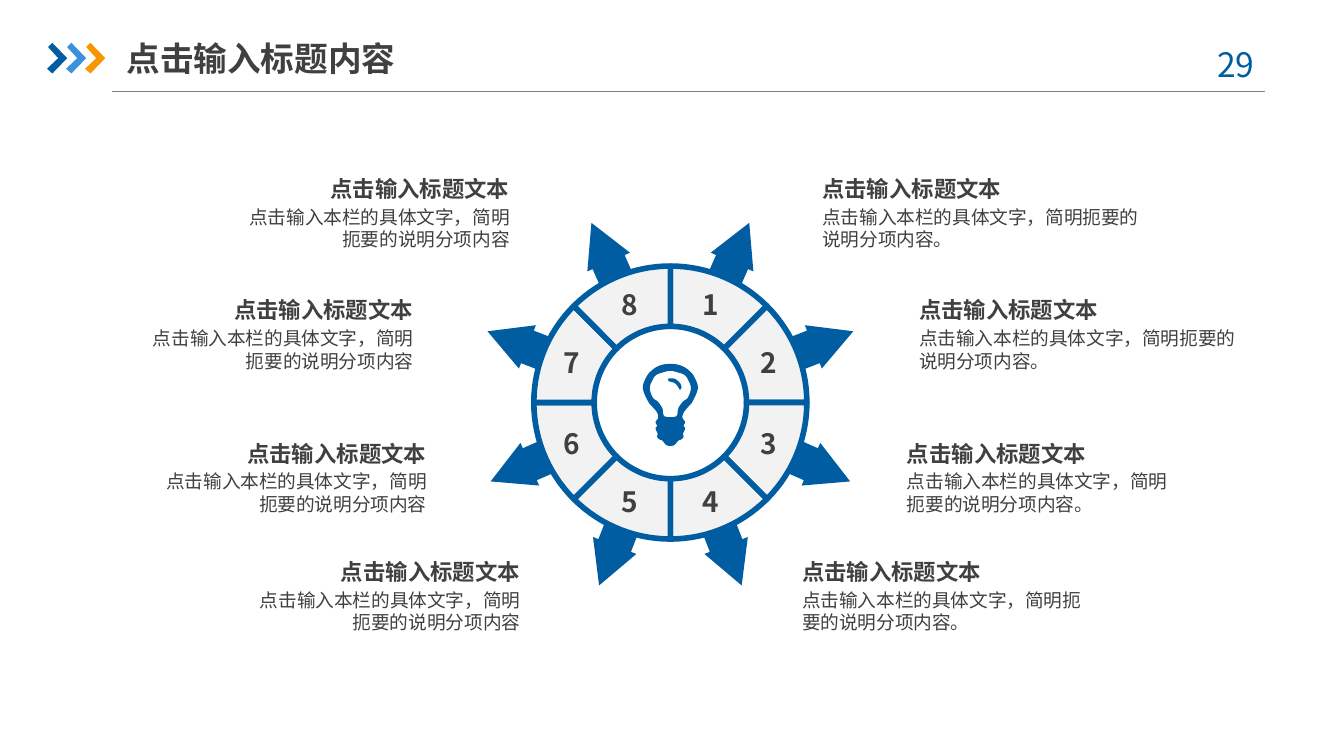
from math import cos, radians, sin

from lxml.etree import SubElement
from pptx import Presentation
from pptx.dml.color import RGBColor
from pptx.enum.shapes import MSO_CONNECTOR
from pptx.enum.text import MSO_ANCHOR, PP_ALIGN
from pptx.oxml.ns import qn
from pptx.util import Cm, Pt

FONT = "Noto Sans CJK SC"
BLUE, SKY, ORANGE = "005DA2", "3992DB", "F79600"
DARK, GRAY, PALE = "404040", "808080", "F2F2F2"
HUB_X, HUB_Y = 12.67, 7.61
INNER, OUTER = 1.44, 2.58
NUMBER_RADIUS = 2.01
HEADING = "点击输入标题文本"
DETAIL = "点击输入本栏的具体文字，简明扼要的说明分项内容"
CAPTION_ROWS = [
    (3.15, (15.29, 6.6), (4.39, 5.49)),
    (5.44, (17.12, 6.78), (2.57, 5.49)),
    (8.15, (16.89, 5.59), (2.82, 5.49)),
    (10.39, (14.91, 6.05), (4.47, 5.61)),
]
CHEVRON = [(0.02, 0.08), (0.1, 0), (0.38, 0.29), (0.1, 0.58), (0, 0.49), (0.21, 0.29)]
ARROW = [(-0.33, 1.42), (-0.33, 2.9), (-0.44, 2.9), (0, 3.71),
         (0.44, 2.9), (0.33, 2.9), (0.33, 1.42)]
BULB_HALF = [(0, -0.73), (0.2, -0.7), (0.36, -0.6), (0.46, -0.47), (0.52, -0.27),
             (0.42, -0.02), (0.33, 0.09), (0.25, 0.19), (0.23, 0.29), (0.28, 0.37),
             (0.25, 0.44), (0.28, 0.49), (0.24, 0.59), (0.25, 0.65), (0.2, 0.7),
             (0.15, 0.72), (0.08, 0.8), (0, 0.82)]
GLASS_HALF = [(0, -0.6), (0.14, -0.57), (0.27, -0.52), (0.34, -0.42), (0.39, -0.27),
              (0.33, -0.09), (0.24, -0.02), (0.15, 0.11), (0.11, 0.26)]
GLINT = [(-0.04, -0.45), (0.08, -0.45), (0.18, -0.37), (0.21, -0.29),
         (0.18, -0.24), (0.15, -0.29), (0.08, -0.37), (-0.02, -0.4)]


def color(value):
    return RGBColor.from_string(value)


def polar(radius, angle):
    return radius * sin(radians(angle)), -radius * cos(radians(angle))


def shifted(points, left, top):
    return [(left + x, top + y) for x, y in points]


def mirrored(half):
    return half + [(-x, y) for x, y in reversed(half) if x]


def smoothed(points, steps=4):
    curve = []
    count = len(points)
    for i in range(count):
        a, b, c, d = (points[(i + j) % count] for j in (-1, 0, 1, 2))
        for t in (step / steps for step in range(steps)):
            curve.append(tuple(
                0.5 * (2 * q + (r - p) * t + (2 * p - 5 * q + 4 * r - s) * t ** 2
                       + (3 * q - p - 3 * r + s) * t ** 3)
                for p, q, r, s in zip(a, b, c, d)))
    return curve


def add_outline(slide, contours, fill, border=None):
    contours = [[(Cm(x), Cm(y)) for x, y in contour] for contour in contours]
    builder = slide.shapes.build_freeform(*contours[0][0], scale=1.0)
    builder.add_line_segments(contours[0][1:], close=True)
    for contour in contours[1:]:
        builder.move_to(*contour[0])
        builder.add_line_segments(contour[1:], close=True)
    outline = builder.convert_to_shape()
    outline.shadow.inherit = False
    outline.fill.solid()
    outline.fill.fore_color.rgb = color(fill)
    if border:
        outline.line.color.rgb = color(border)
        outline.line.width = Pt(3)
    else:
        outline.line.fill.background()


def set_frame(frame, inset=0.25):
    frame.word_wrap = True
    frame.vertical_anchor = MSO_ANCHOR.MIDDLE
    frame.margin_left = frame.margin_right = Cm(inset)
    frame.margin_top = frame.margin_bottom = 0


def write(paragraph, text, size, ink=DARK, bold=True, align=PP_ALIGN.LEFT, before=0):
    paragraph.alignment = align
    paragraph.line_spacing = Pt(size * 1.2)
    paragraph.space_before = Pt(before)
    run = paragraph.add_run()
    run.text = text
    font = run.font
    font.name, font.size, font.bold = FONT, Pt(size), bold
    font.color.rgb = color(ink)
    SubElement(font._element, qn("a:ea")).set("typeface", FONT)


def add_text_area(slide, left, top, width, height, inset=0.25):
    area = slide.shapes.add_textbox(Cm(left), Cm(top), Cm(width), Cm(height))
    set_frame(area.text_frame, inset)
    return area.text_frame


def add_caption(slide, left, top, width, detail, align):
    frame = add_text_area(slide, left, top, width, 1.75)
    write(frame.paragraphs[0], HEADING, 12, align=align)
    write(frame.add_paragraph(), detail, 10, bold=False, align=align, before=2)


def add_header(slide):
    rule = slide.shapes.add_connector(
        MSO_CONNECTOR.STRAIGHT, Cm(2.11), Cm(1.73), Cm(23.9), Cm(1.73))
    rule.line.color.rgb = color(GRAY)
    rule.line.width = Pt(0.75)
    SubElement(rule._element.spPr, qn("a:effectLst"))
    for i, fill in enumerate((BLUE, SKY, ORANGE)):
        add_outline(slide, [shifted(CHEVRON, 0.89 + 0.36 * i, 0.81)], fill)
    title = slide.shapes.title
    title.left, title.top, title.width, title.height = Cm(2.39), Cm(0.56), Cm(5.92), Cm(1.07)
    set_frame(title.text_frame, 0)
    write(title.text_frame.paragraphs[0], "点击输入标题内容", 18)
    page_number = add_text_area(slide, 22.5, 0.71, 1.85, 1.02)
    write(page_number.paragraphs[0], "29 ", 18, BLUE, False, PP_ALIGN.CENTER)


def add_sector(slide, index):
    start = 45 * index
    middle = start + 22.5
    lean = middle + (1.2 if index < 4 else -1.2)
    turn = radians(lean)
    arrow = [(x * cos(turn) + y * sin(turn), x * sin(turn) - y * cos(turn)) for x, y in ARROW]
    add_outline(slide, [shifted(arrow, HUB_X, HUB_Y)], BLUE)
    angles = [start + 45 * step / 15 for step in range(16)]
    segment = [polar(OUTER, angle) for angle in angles]
    segment += [polar(INNER, angle) for angle in reversed(angles)]
    add_outline(slide, [shifted(segment, HUB_X, HUB_Y)], PALE, BLUE)


def add_sector_number(slide, index):
    x, y = polar(NUMBER_RADIUS, 45 * index + 22.5)
    frame = add_text_area(slide, HUB_X + x - 0.51, HUB_Y + y - 0.28, 1.02, 0.56, 0)
    write(frame.paragraphs[0], str(index + 1), 15, align=PP_ALIGN.CENTER)


def add_bulb(slide):
    bulb = [smoothed(mirrored(half)) for half in (BULB_HALF, GLASS_HALF)]
    add_outline(slide, [shifted(contour, HUB_X, HUB_Y) for contour in bulb], BLUE)
    add_outline(slide, [shifted(smoothed(GLINT), HUB_X, HUB_Y)], BLUE)


def main():
    deck = Presentation()
    deck.slide_width, deck.slide_height = Cm(25.4), Cm(14.29)
    slide = deck.slides.add_slide(deck.slide_layouts[5])
    add_header(slide)
    for index in range(8):
        add_sector(slide, index)
    add_bulb(slide)
    for top, (right_x, right_width), (left_x, left_width) in CAPTION_ROWS:
        add_caption(slide, right_x, top, right_width, DETAIL + "。", PP_ALIGN.LEFT)
        add_caption(slide, left_x, top, left_width, DETAIL, PP_ALIGN.RIGHT)
    for index in range(8):
        add_sector_number(slide, index)
    deck.save("out.pptx")


main()
